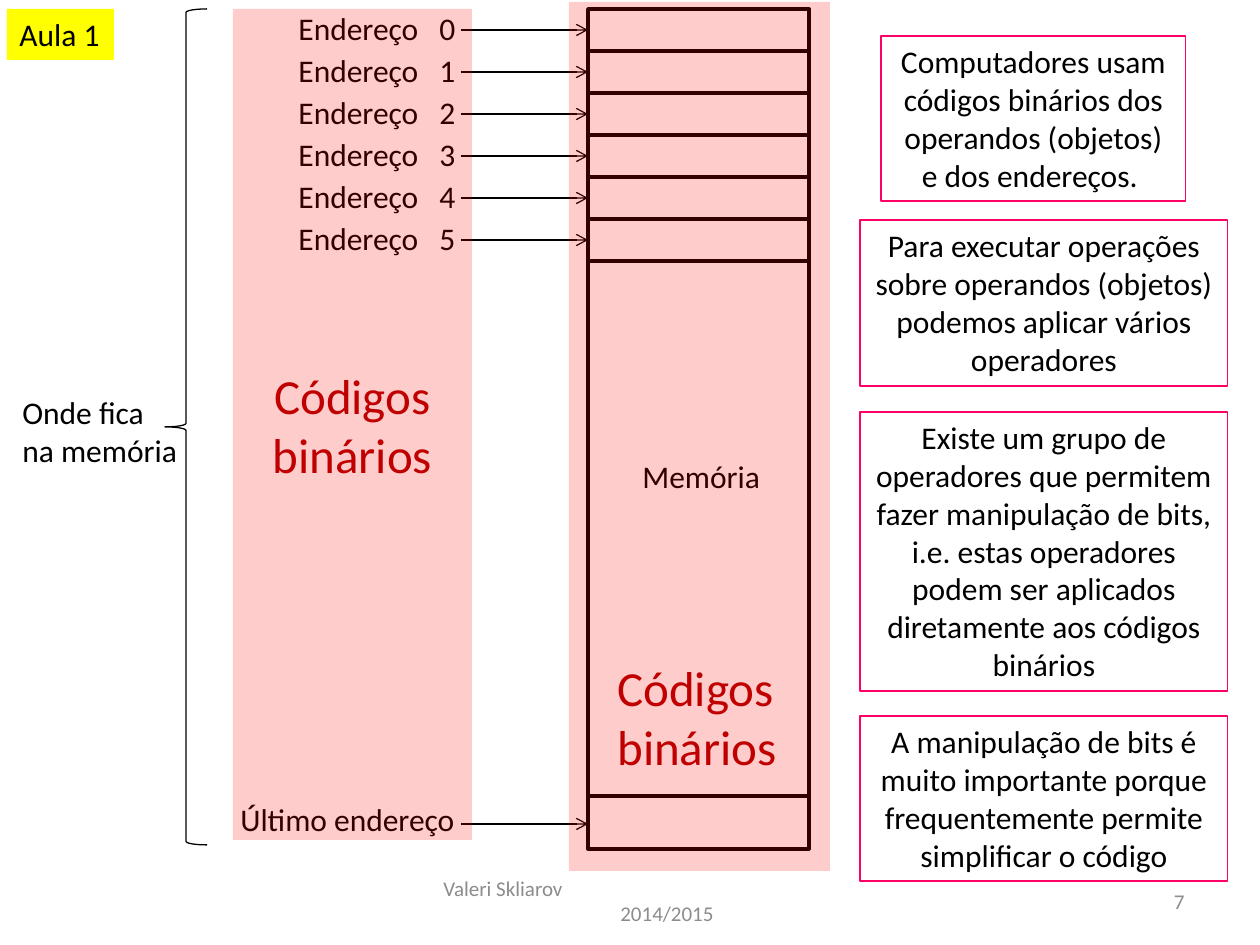
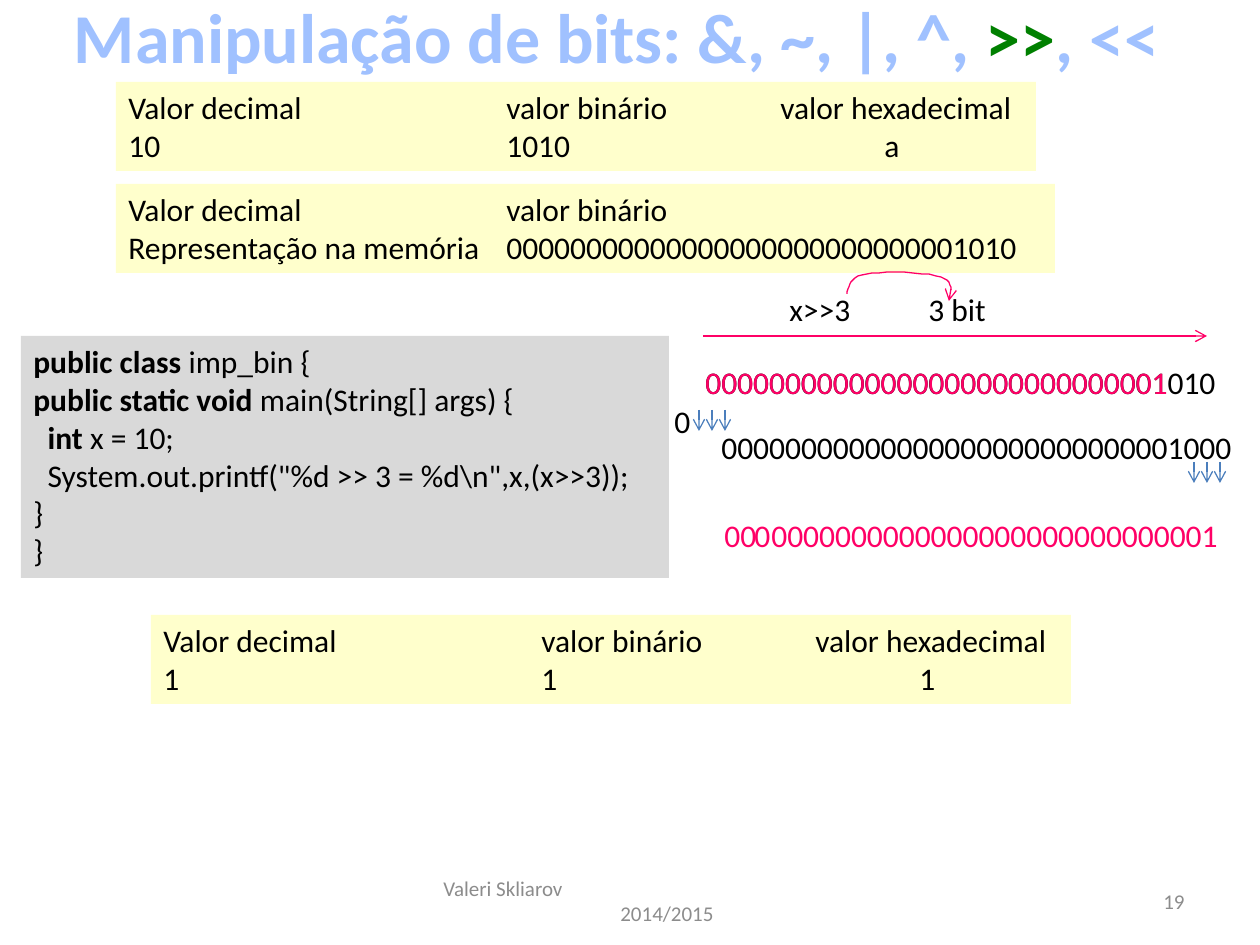
from lxml import etree
from pptx import Presentation
from pptx import util as u
from pptx.dml.color import RGBColor
from pptx.enum import shapes, text
from pptx.oxml.ns import qn

PX = 7257
FONT = "Calibri"
C = {"black": "000000", "white": "FFFFFF", "gray": "8C8C8C", "yellow": "FFFF00",
     "cream": "FFFFCC", "code": "D9D9D9", "red": "FF0000", "dark_red": "C00000",
     "pink": "FF0066", "blue": "4B7EBC", "title": "A0C1FF", "green": "008000"}
LEFT, CENTER, RIGHT = text.PP_ALIGN.LEFT, text.PP_ALIGN.CENTER, text.PP_ALIGN.RIGHT
TOP, MIDDLE = text.MSO_ANCHOR.TOP, text.MSO_ANCHOR.MIDDLE
RECT = shapes.MSO_SHAPE.RECTANGLE
STRAIGHT = shapes.MSO_CONNECTOR.STRAIGHT


def stroke(sp, color="black", width=0.75, arrow=False):
    sp.line.color.rgb = RGBColor.from_string(C[color])
    sp.line.width = u.Pt(width)
    if arrow:
        etree.SubElement(sp.line._get_or_add_ln(), qn("a:tailEnd"), type="arrow")
    etree.SubElement(sp._element.spPr, qn("a:effectLst"))


def write(s, x, y, w, h, paras, size=18, color="black", bold=False, align=LEFT,
          anchor=TOP, fill=None, alpha=None, border=None, tabs=()):
    box = (x * PX, y * PX, w * PX, h * PX)
    if fill or border:
        sp = s.shapes.add_shape(RECT, *box)
        sp.shadow.inherit = False
        sp.fill.background()
        sp.line.fill.background()
    else:
        sp = s.shapes.add_textbox(*box)
    if fill:
        sp.fill.solid()
        sp.fill.fore_color.rgb = RGBColor.from_string(C[fill])
    if alpha:
        clr = sp._element.spPr.find(qn("a:solidFill"))[0]
        etree.SubElement(clr, qn("a:alpha"), val=str(alpha * 1000))
    if border:
        sp.line.color.rgb = RGBColor.from_string(C[border])
        sp.line.width = u.Pt(0.75)
    tf = sp.text_frame
    tf.word_wrap = True
    tf.vertical_anchor = anchor
    for i, para in enumerate(paras):
        p = tf.paragraphs[0] if i == 0 else tf.add_paragraph()
        p.alignment = align
        if tabs:
            tab_list = etree.SubElement(p._p.get_or_add_pPr(), qn("a:tabLst"))
            for pos in tabs[i]:
                etree.SubElement(tab_list, qn("a:tab"), pos=str(pos * PX), algn="l")
        for part in [(para, {})] if isinstance(para, str) else para:
            r = p.add_run()
            r.text = part[0]
            r.font.name = FONT
            r.font.size = u.Pt(size)
            r.font.bold = part[1].get("bold", bold)
            r.font.color.rgb = RGBColor.from_string(C[part[1].get("color", color)])


prs = Presentation()
prs.slide_width = 1260 * PX
prs.slide_height = 945 * PX

slides = []
for number in ("7", "19"):
    s = prs.slides.add_slide(prs.slide_layouts[6])
    write(s, 431, 876, 399, 50, ["Valeri Skliarov", "\t2014/2015"], size=12,
          color="gray", anchor=MIDDLE, tabs=[(), (177,)])
    write(s, 903, 876, 294, 50, [number], size=12, color="gray", align=RIGHT, anchor=MIDDLE)
    slides.append(s)

s = slides[0]
memory = s.shapes.add_shape(RECT, 588 * PX, 9 * PX, 221 * PX, 840 * PX)
memory.fill.background()
stroke(memory, width=2)
for y in [51 + 42 * i for i in range(6)] + [796]:
    c = s.shapes.add_connector(STRAIGHT, 588 * PX, y * PX, 809 * PX, y * PX)
    stroke(c, width=2)

addresses = [(286, 3 + 42 * i, 186, f"Endereço\t{i}") for i in range(6)]
addresses.append((228, 794, 250, "Último endereço"))
for x, y, w, label in addresses:
    arrow_y = y + (30 if w == 250 else 27)
    c = s.shapes.add_connector(STRAIGHT, 461 * PX, arrow_y * PX, 588 * PX, arrow_y * PX)
    stroke(c, arrow=True)
    write(s, x, y, w, 50, [label], tabs=[(141,)])

brace = s.shapes.add_shape(shapes.MSO_SHAPE.LEFT_BRACE, 165 * PX, 9 * PX, 42 * PX, 836 * PX)
brace.fill.background()
stroke(brace)
write(s, 10, 387, 199, 89, ["Onde fica", "na memória"])
write(s, 630, 451, 146, 50, ["Memória"])
write(s, 7, 9, 107, 51, ["Aula 1"], fill="yellow")
write(s, 233, 9, 239, 831, ["Códigos binários"], size=28, color="dark_red",
      align=CENTER, anchor=MIDDLE, fill="red", alpha=20)
write(s, 569, 2, 261, 869, [], fill="red", alpha=20)
write(s, 605, 651, 187, 131, ["Códigos binários"], size=28, color="dark_red")

notes = [
    (881, 36, 305, 165, None,
     "Computadores usam códigos binários dos operandos (objetos) e dos endereços. "),
    (860, 220, 368, 166, None,
     "Para executar operações sobre operandos (objetos) podemos aplicar vários operadores"),
    (860, 412, 368, 279, None,
     "Existe um grupo de operadores que permitem fazer manipulação de bits, i.e. estas "
     "operadores podem ser aplicados diretamente aos códigos binários"),
    (860, 716, 368, 165, "white",
     "A manipulação de bits é muito importante porque frequentemente permite "
     "simplificar o código"),
]
for x, y, w, h, fill, note in notes:
    write(s, x, y, w, h, [note], align=CENTER, fill=fill, border="pink")

s = slides[1]
write(s, 55, -13, 1123, 97,
      [[("Manipulação de bits: &, ~, |, ^, ", {}), (">>", {"color": "green"}), (", <<", {})]],
      size=40, color="title", bold=True, align=CENTER)

header = "Valor decimal\tvalor binário"
for x, y, values in ((116, 82, "10\t1010\ta"), (151, 615, "1\t1\t1")):
    write(s, x, y, 920, 89, [header + "\tvalor hexadecimal", values], fill="cream",
          tabs=[(378, 652), (378, 756)])
write(s, 116, 184, 939, 89,
      [header, "Representação na memória\t00000000000000000000000000001010"],
      fill="cream", tabs=[(378,), (378,)])

B = {"bold": True}
write(s, 21, 336, 648, 242, [
    [("public class ", B), ("imp_bin {", {})],
    [("public static void", B), (" main(String[] args) {", {})],
    [("  ", {}), ("int ", B), ("x = 10;", {})],
    "  System.out.printf(\"%d >> 3 = %d\\n\",x,(x>>3));",
    "}",
    "}",
], fill="code")

write(s, 693, 357, 542, 50, ["00000000000000000000000000001010"])
c = s.shapes.add_connector(STRAIGHT, 703 * PX, 336 * PX, 1207 * PX, 336 * PX)
stroke(c, "pink", arrow=True)
write(s, 777, 284, 226, 50, ["x>>3\t3 bit"], tabs=[(139,)])

curves = [((847, 294), (848, 286), (850, 277), (867, 274)),
          ((867, 274), (882, 271), (927, 272), (941, 277)),
          ((941, 277), (955, 282), (951, 291), (949, 301))]
points = []
for a, b, d, e in curves:
    for t in [k / 10 for k in range(1, 11)]:
        points.append(tuple((1 - t) ** 3 * a[i] + 3 * (1 - t) ** 2 * t * b[i]
                            + 3 * (1 - t) * t ** 2 * d[i] + t ** 3 * e[i] for i in (0, 1)))
shift = s.shapes.build_freeform(847, 294, scale=PX)
shift.add_line_segments(points, close=False)
sp = shift.convert_to_shape()
sp.fill.background()
stroke(sp, "pink", arrow=True)

write(s, 709, 422, 542, 50, ["00000000000000000000000000001000"])
write(s, 662, 396, 42, 50, ["0"])
write(s, 693, 357, 509, 50, ["00000000000000000000000000001"], color="pink")
write(s, 759, 510, 478, 50, ["0000000000000000000000000001"], color="pink")
for x in (712, 728, 742):
    write(s, x, 510, 42, 50, ["0"], color="pink")

for left, y in ((699, 410), (1194, 462)):
    for x in range(left, left + 39, 13):
        c = s.shapes.add_connector(STRAIGHT, x * PX, y * PX, x * PX, (y + 21) * PX)
        stroke(c, "blue", arrow=True)

prs.save("out.pptx")
